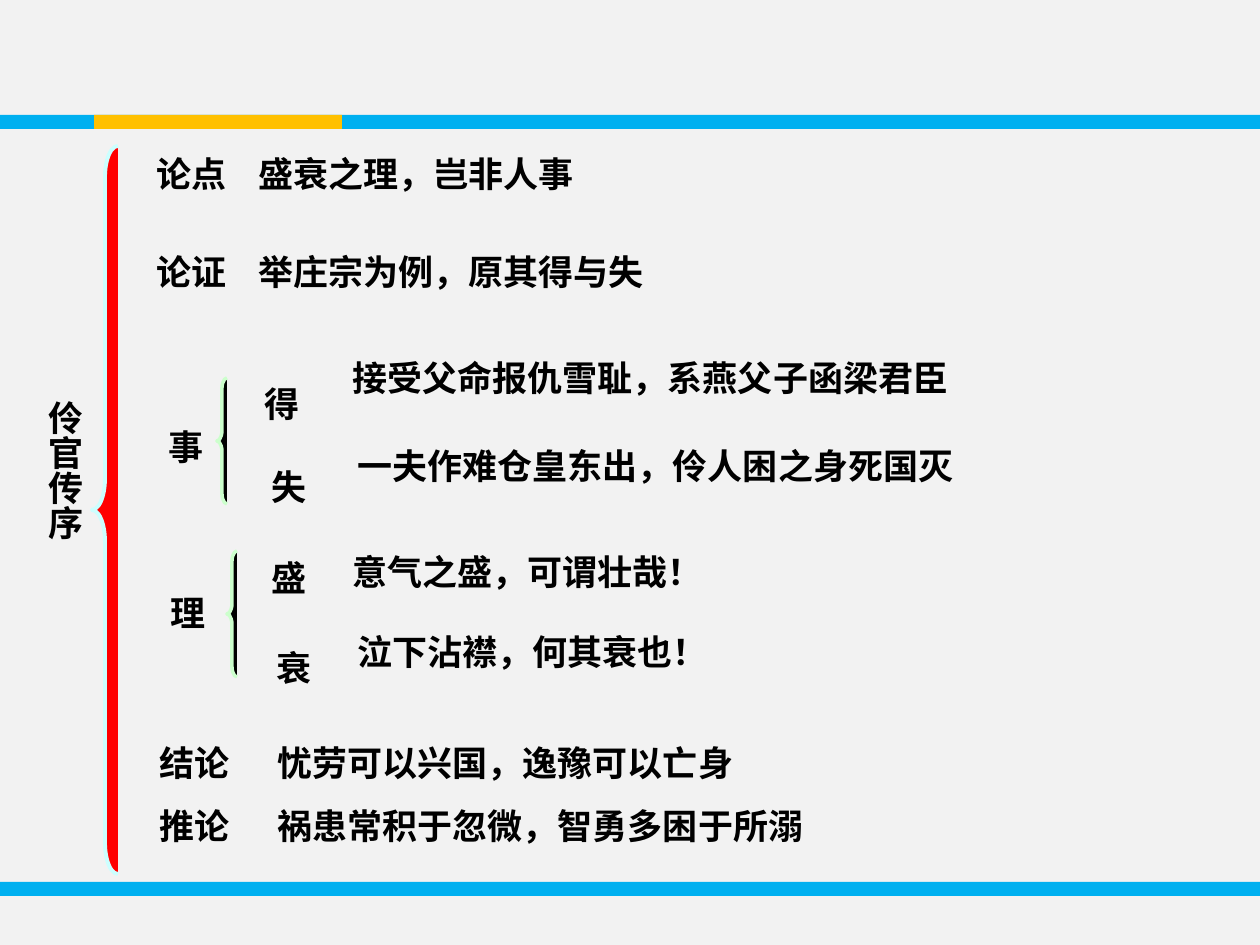
from dataclasses import dataclass

from lxml import etree
from pptx import Presentation
from pptx import util as u
from pptx.dml.color import RGBColor
from pptx.enum import shapes, text
from pptx.oxml.ns import qn

EMU_PER_PX = 914400 / 126
FONT = "Noto Sans CJK SC"
COLORS = {
    "background": "F2F2F2",
    "blue": "00B0F0",
    "gold": "FFC000",
    "red": "FF0000",
    "black": "000000",
    "pale_cyan": "CCFFFF",
    "pale_green": "CCFFCC",
}


@dataclass(frozen=True)
class Box:
    left: int
    top: int
    width: int
    height: int


@dataclass(frozen=True)
class Bar:
    box: Box
    color: str


@dataclass(frozen=True)
class Brace:
    box: Box
    curve: float
    fill: str
    line: str
    line_width: float


@dataclass(frozen=True)
class Label:
    words: str
    box: Box
    vertical: bool = False
    tab: int = 0
    spacing: float = 1.0


BARS = [
    Bar(Box(0, 882, 1260, 14), "blue"),
    Bar(Box(0, 115, 1260, 14), "blue"),
    Bar(Box(94, 115, 248, 14), "gold"),
]
BRACES = [
    Brace(Box(92, 146, 26, 728), 1.2, "red", "pale_cyan", 2.25),
    Brace(Box(217, 378, 10, 126), 1.04, "black", "pale_green", 2),
    Brace(Box(227, 551, 10, 126), 1.04, "black", "pale_green", 2),
]
LABELS = [
    Label("伶官传序", Box(25, 388, 67, 166), vertical=True),
    Label("论点\t盛衰之理，岂非人事", Box(144, 146, 515, 55), tab=102),
    Label("论证\t举庄宗为例，原其得与失", Box(144, 244, 576, 55), tab=102),
    Label("结论\t忧劳可以兴国，逸豫可以亡身\n推论\t祸患常积于忽微，智勇多困于所溺",
          Box(147, 714, 920, 139), tab=118, spacing=1.5),
    Label("事", Box(145, 417, 67, 52), vertical=True),
    Label("理", Box(147, 583, 67, 53), vertical=True),
    Label("得", Box(241, 374, 67, 42), vertical=True),
    Label("失", Box(248, 457, 67, 53), vertical=True),
    Label("盛", Box(248, 548, 67, 53), vertical=True),
    Label("衰", Box(253, 638, 67, 53), vertical=True),
    Label("接受父命报仇雪耻，系燕父子函梁君臣", Box(340, 350, 643, 55)),
    Label("一夫作难仓皇东出，伶人困之身死国灭", Box(345, 438, 633, 55)),
    Label("意气之盛，可谓壮哉！", Box(340, 544, 384, 55)),
    Label("泣下沾襟，何其衰也！", Box(345, 624, 374, 55)),
]


def px(length: int) -> u.Emu:
    return u.Emu(round(length * EMU_PER_PX))


def place(box: Box) -> tuple:
    return px(box.left), px(box.top), px(box.width), px(box.height)


def color(name: str) -> RGBColor:
    return RGBColor.from_string(COLORS[name])


def add_filled_shape(slide, kind, box: Box, fill: str):
    shape = slide.shapes.add_shape(kind, *place(box))
    shape.shadow.inherit = False
    shape.fill.solid()
    shape.fill.fore_color.rgb = color(fill)
    return shape


def draw_bar(slide, bar: Bar) -> None:
    shape = add_filled_shape(slide, shapes.MSO_SHAPE.RECTANGLE, bar.box, bar.color)
    shape.line.fill.background()


def draw_brace(slide, brace: Brace) -> None:
    shape = add_filled_shape(slide, shapes.MSO_SHAPE.LEFT_BRACE, brace.box, brace.fill)
    shape.adjustments[0] = brace.curve
    shape.line.color.rgb = color(brace.line)
    shape.line.width = u.Pt(brace.line_width)


def add_tab_stop(paragraph, position: int) -> None:
    properties = paragraph._p.get_or_add_pPr()
    tabs = etree.SubElement(properties, qn("a:tabLst"))
    etree.SubElement(tabs, qn("a:tab"), pos=str(px(position)), algn="l")


def format_run(run) -> None:
    run.font.size = u.Pt(20)
    run.font.bold = True
    run.font.name = FONT
    run.font.color.rgb = color("black")
    latin = run.font._element.find(qn("a:latin"))
    east_asian = etree.Element(qn("a:ea"), typeface=FONT)
    latin.addnext(east_asian)


def draw_label(slide, label: Label) -> None:
    shape = slide.shapes.add_textbox(*place(label.box))
    frame = shape.text_frame
    frame.word_wrap = True
    frame.auto_size = text.MSO_AUTO_SIZE.SHAPE_TO_FIT_TEXT
    side, end = (0.05, 0.1) if label.vertical else (0.1, 0.05)
    frame.margin_left = frame.margin_right = u.Inches(side)
    frame.margin_top = frame.margin_bottom = u.Inches(end)
    if label.vertical:
        shape._element.txBody.bodyPr.set("vert", "eaVert")
    frame.text = label.words
    for paragraph in frame.paragraphs:
        paragraph.line_spacing = label.spacing
        if label.tab:
            add_tab_stop(paragraph, label.tab)
        for run in paragraph.runs:
            format_run(run)


def main() -> None:
    presentation = Presentation()
    presentation.slide_width = px(1260)
    presentation.slide_height = px(945)
    slide = presentation.slides.add_slide(presentation.slide_layouts[6])
    slide.background.fill.solid()
    slide.background.fill.fore_color.rgb = color("background")
    for bar in BARS:
        draw_bar(slide, bar)
    for brace in BRACES:
        draw_brace(slide, brace)
    for label in LABELS:
        draw_label(slide, label)
    presentation.save("out.pptx")


if __name__ == "__main__":
    main()
